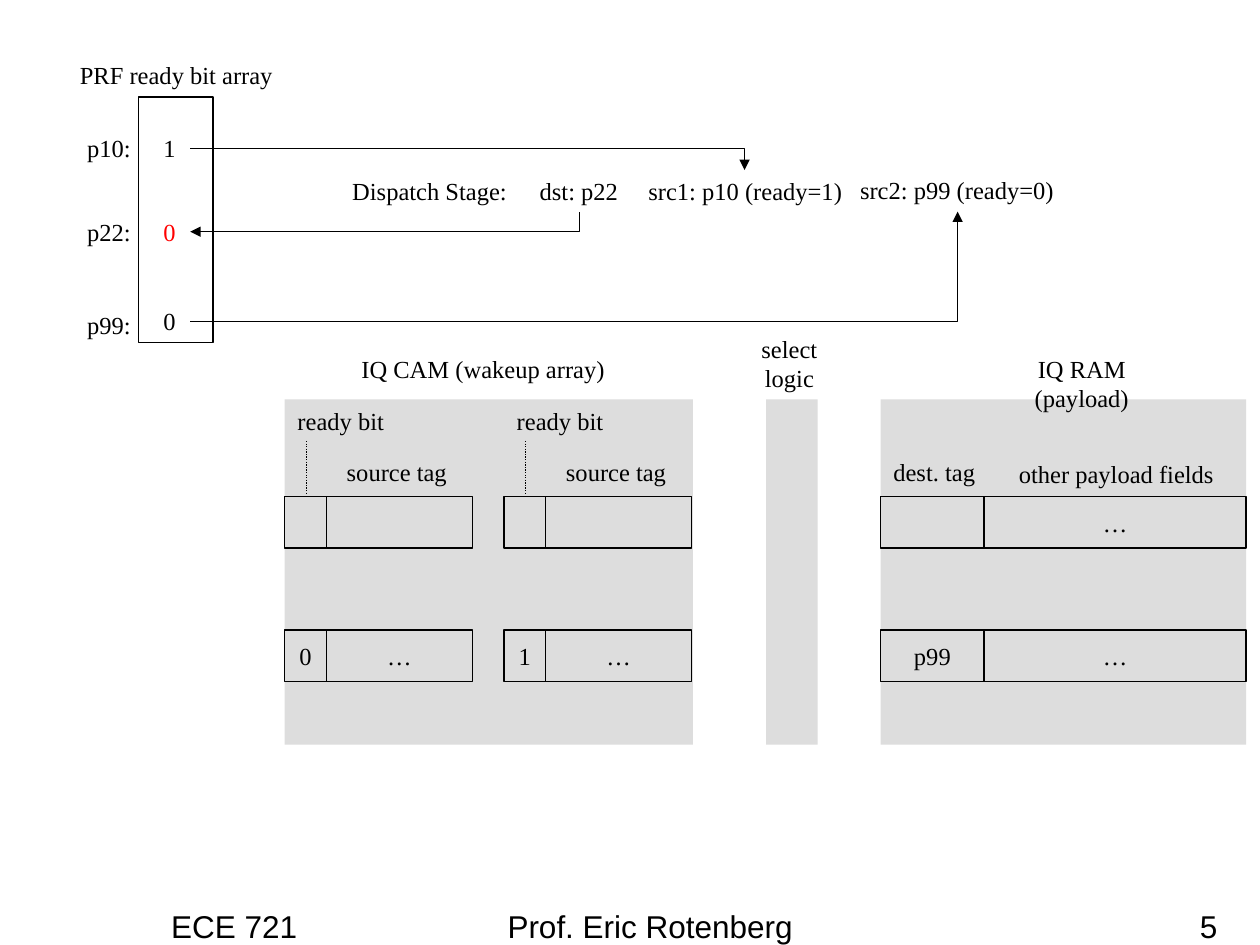
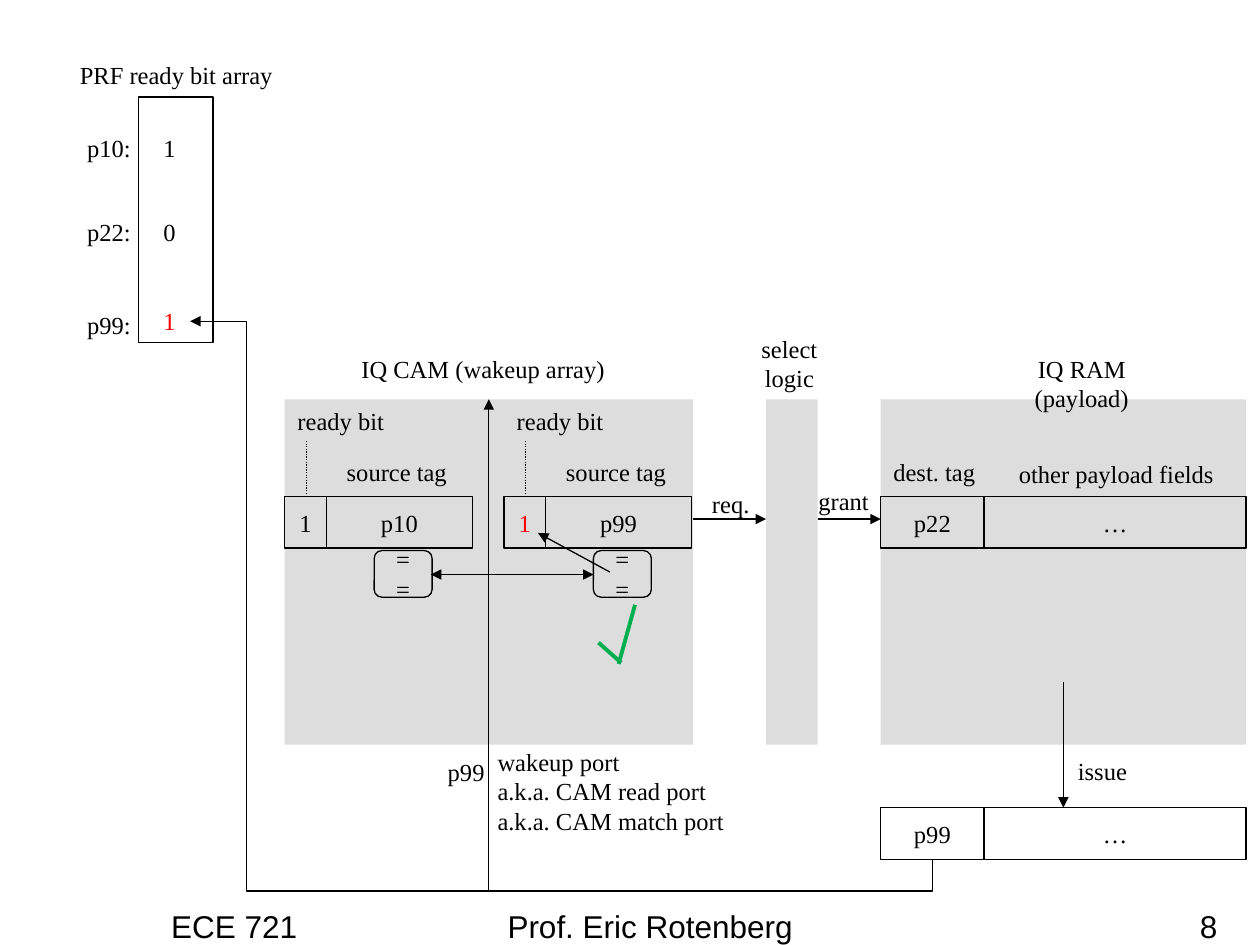
from dataclasses import dataclass
from typing import Optional

from lxml.etree import SubElement
from pptx import Presentation
from pptx.dml.color import RGBColor
from pptx.enum.dml import MSO_LINE
from pptx.enum.shapes import MSO_CONNECTOR, MSO_SHAPE
from pptx.enum.text import MSO_ANCHOR, PP_ALIGN
from pptx.oxml.ns import qn
from pptx.util import Inches, Pt

BLACK, RED, GREEN, GRAY = "000000", "FF0000", "00B050", "DDDDDD"
SERIF, SANS = "Times New Roman", "Arial"

# Shared geometry, in inches
PANEL_TOP, PANEL_HEIGHT = 3.17, 2.74
CAM_LEFT, CAM_WIDTH = 2.26, 3.24
SELECT_LEFT, SELECT_WIDTH = 6.08, 0.41
RAM_LEFT, RAM_WIDTH = 6.99, 2.9
SOURCE_LEFTS = (CAM_LEFT, 4.0)
READY_WIDTH, TAG_WIDTH, DEST_WIDTH = 0.33, 1.16, 0.82
ROW_HEIGHT = 0.41
FIRST_ROW, SECOND_ROW, ISSUED_ROW = 3.94, 5.0, 6.41
BIT_RIGHT = 1.51
BUS_Y = 7.07


@dataclass
class Label:
    text: str
    left: float
    top: float
    width: float
    height: float = 0.34
    color: str = BLACK
    align: PP_ALIGN = PP_ALIGN.CENTER
    font: str = SERIF
    size: float = 14
    wrap: bool = False


@dataclass
class Link:
    start: tuple[float, float]
    end: tuple[float, float]
    head: bool = False
    tail: bool = False
    bend: Optional[str] = None
    adjustments: tuple[int, ...] = ()
    color: str = BLACK
    width: float = 0.75
    dotted: bool = False


@dataclass
class Cell:
    text: str = ""
    color: str = BLACK


def rgb(color: str) -> RGBColor:
    return RGBColor.from_string(color)


def write(text_frame, text: str, color: str = BLACK, align=PP_ALIGN.CENTER,
          font: str = SERIF, size: float = 14) -> None:
    text_frame.text = text
    for paragraph in text_frame.paragraphs:
        paragraph.alignment = align
        paragraph.font.name = font
        paragraph.font.size = Pt(size)
        paragraph.font.color.rgb = rgb(color)


def add_label(slide, label: Label) -> None:
    box = slide.shapes.add_textbox(Inches(label.left), Inches(label.top),
                                   Inches(label.width), Inches(label.height))
    box.text_frame.word_wrap = label.wrap
    write(box.text_frame, label.text, label.color, label.align, label.font, label.size)


def add_box(slide, left: float, top: float, width: float, height: float,
            fill: Optional[str] = None, cell: Cell = Cell(),
            kind=MSO_SHAPE.RECTANGLE):
    """A filled panel without outline, or an outlined box without fill."""
    shape = slide.shapes.add_shape(kind, Inches(left), Inches(top),
                                   Inches(width), Inches(height))
    shape.shadow.inherit = False
    if fill:
        shape.fill.solid()
        shape.fill.fore_color.rgb = rgb(fill)
        shape.line.fill.background()
    else:
        shape.fill.background()
        shape.line.color.rgb = rgb(BLACK)
        shape.line.width = Pt(0.75)
    if cell.text:
        shape.text_frame.word_wrap = False
        shape.text_frame.vertical_anchor = MSO_ANCHOR.MIDDLE
        write(shape.text_frame, cell.text, cell.color)
    return shape


def add_link(slide, link: Link) -> None:
    kind = MSO_CONNECTOR.ELBOW if link.bend else MSO_CONNECTOR.STRAIGHT
    connector = slide.shapes.add_connector(
        kind, *(Inches(value) for value in link.start + link.end))
    connector.line.color.rgb = rgb(link.color)
    connector.line.width = Pt(link.width)
    if link.dotted:
        connector.line.dash_style = MSO_LINE.ROUND_DOT
    properties = connector._element.spPr
    line = properties.find(qn("a:ln"))
    for shown, tag in ((link.head, "a:headEnd"), (link.tail, "a:tailEnd")):
        if shown:
            SubElement(line, qn(tag), type="triangle")
    SubElement(properties, qn("a:effectLst"))
    if link.bend:
        geometry = properties.find(qn("a:prstGeom"))
        geometry.set("prst", link.bend)
        guides = geometry.find(qn("a:avLst"))
        for number, value in enumerate(link.adjustments, 1):
            SubElement(guides, qn("a:gd"), name=f"adj{number}", fmla=f"val {value}")


def add_cam_row(slide, top: float, cells: list[Cell]) -> None:
    """Two sources, each a ready bit and a tag."""
    for left, ready, tag in zip(SOURCE_LEFTS, cells[::2], cells[1::2]):
        add_box(slide, left, top, READY_WIDTH, ROW_HEIGHT, cell=ready)
        add_box(slide, left + READY_WIDTH, top, TAG_WIDTH, ROW_HEIGHT, cell=tag)


def add_ram_row(slide, top: float, destination: str = "") -> None:
    add_box(slide, RAM_LEFT, top, DEST_WIDTH, ROW_HEIGHT, cell=Cell(destination))
    add_box(slide, RAM_LEFT + DEST_WIDTH, top, RAM_WIDTH - DEST_WIDTH, ROW_HEIGHT,
            cell=Cell("…"))


def add_base(presentation, number: int, bits: list[Cell]):
    """A slide with the ready bits, issue queue panels and footer."""
    slide = presentation.slides.add_slide(presentation.slide_layouts[6])

    # Footer
    for text, left, width, align in (
            ("ECE 721", 1.26, 2.08, PP_ALIGN.LEFT),
            ("Prof. Eric Rotenberg", 3.93, 3.17, PP_ALIGN.LEFT),
            (str(number), 7.68, 2.08, PP_ALIGN.RIGHT)):
        add_label(slide, Label(text, left, 7.15, width, 0.5, align=align,
                               font=SANS, size=18, wrap=True))

    # Panels
    for left, width in ((CAM_LEFT, CAM_WIDTH), (SELECT_LEFT, SELECT_WIDTH),
                        (RAM_LEFT, RAM_WIDTH)):
        add_box(slide, left, PANEL_TOP, width, PANEL_HEIGHT, fill=GRAY)
    for label in (
            Label("IQ CAM (wakeup array)", 2.77, 2.76, 2.13),
            Label("select\nlogic", 5.94, 2.6, 0.65, 0.57),
            Label("IQ RAM (payload)", 7.74, 2.76, 1.69),
            Label("dest. tag", RAM_LEFT, 3.58, 0.85),
            Label("other payload fields", 7.95, 3.59, 1.82)):
        add_label(slide, label)
    for left in SOURCE_LEFTS:
        add_label(slide, Label("ready bit", left, PANEL_TOP, 0.89))
        add_label(slide, Label("source tag", left + 0.39, 3.58, 1.0))
        add_link(slide, Link((left + 0.17, 3.5), (left + 0.17, 3.92), dotted=True))

    # Ready bit array
    add_label(slide, Label("PRF ready bit array", 0.53, 0.43, 1.74))
    add_box(slide, 1.1, 0.77, 0.59, 1.95)
    for name, name_top, bit_top, bit in zip(
            ("p10:", "p22:", "p99:"), (1.01, 1.67, 2.41), (1.01, 1.67, 2.38), bits):
        add_label(slide, Label(name, 0.56, name_top, 0.61, wrap=True))
        add_label(slide, Label(bit.text, 1.18, bit_top, 0.33, color=bit.color, wrap=True))
    return slide


def build_dispatch(presentation) -> None:
    slide = add_base(presentation, 5, [Cell("1"), Cell("0", RED), Cell("0")])

    # Queue entries
    add_cam_row(slide, FIRST_ROW, [Cell()] * 4)
    add_ram_row(slide, FIRST_ROW)
    add_cam_row(slide, SECOND_ROW, [Cell("0"), Cell("…"), Cell("1"), Cell("…")])
    add_ram_row(slide, SECOND_ROW, "p99")

    # Dispatched instruction and its ready bit accesses
    for label in (
            Label("Dispatch Stage:", 2.69, 1.35, 1.44),
            Label("dst: p22", 4.18, 1.35, 0.83),
            Label("src1: p10 (ready=1)", 5.04, 1.35, 1.75),
            Label("src2: p99 (ready=0)", 6.72, 1.34, 1.75)):
        add_label(slide, label)
    for link in (
            Link((BIT_RIGHT, 1.18), (5.91, 1.35), tail=True, bend="bentConnector2"),
            Link((BIT_RIGHT, 1.84), (4.6, 1.68), head=True, bend="bentConnector2"),
            Link((BIT_RIGHT, 2.55), (7.6, 1.68), tail=True, bend="bentConnector2")):
        add_link(slide, link)


def build_wakeup(presentation) -> None:
    slide = add_base(presentation, 8, [Cell("1"), Cell("0"), Cell("1", RED)])

    # Queue entry and issued instruction
    add_cam_row(slide, FIRST_ROW, [Cell("1"), Cell("p10"), Cell("1", RED), Cell("p99")])
    add_ram_row(slide, FIRST_ROW, "p22")
    add_ram_row(slide, ISSUED_ROW, "p99")

    # Tag comparators
    for left in SOURCE_LEFTS:
        comparator = add_box(slide, left + 0.71, 4.37, 0.46, 0.37, cell=Cell("=="),
                             kind=MSO_SHAPE.ROUNDED_RECTANGLE)
        frame = comparator.text_frame
        frame.word_wrap = True
        frame.margin_left = frame.margin_right = Inches(0.12)

    # Wakeup bus, request and grant, issue, and the green check mark
    destination_x = 7.4
    for link in (
            Link((BIT_RIGHT, 2.55), (destination_x, ISSUED_ROW + ROW_HEIGHT), head=True,
                 bend="bentConnector4", adjustments=(7640, 105855)),
            Link((destination_x, BUS_Y), (3.88, PANEL_TOP), tail=True,
                 bend="bentConnector2"),
            Link((4.71, 4.56), (3.42, 4.56), head=True, tail=True),
            Link((4.84, 4.54), (4.27, 4.23), tail=True),
            Link((5.5, 4.12), (SELECT_LEFT, 4.12), tail=True),
            Link((6.49, 4.12), (RAM_LEFT, 4.12), tail=True),
            Link((8.44, 5.41), (8.44, ISSUED_ROW), tail=True),
            Link((4.75, 5.1), (4.93, 5.26), color=GREEN, width=2.25),
            Link((4.91, 5.27), (5.04, 4.8), color=GREEN, width=2.25)):
        add_link(slide, link)
    for label in (
            Label("req.", 5.55, 3.83, 0.5),
            Label("grant", 6.39, 3.81, 0.61),
            Label("issue", 8.45, 5.95, 0.6),
            Label("p99", 3.4, 5.96, 0.6, wrap=True),
            Label("wakeup port\na.k.a. CAM read port\va.k.a. CAM match port",
                  3.85, 5.88, 2.08, 0.81, align=PP_ALIGN.LEFT)):
        add_label(slide, label)


presentation = Presentation()
presentation.slide_width = Inches(10)
presentation.slide_height = Inches(7.5)
build_dispatch(presentation)
build_wakeup(presentation)
presentation.save("out.pptx")
